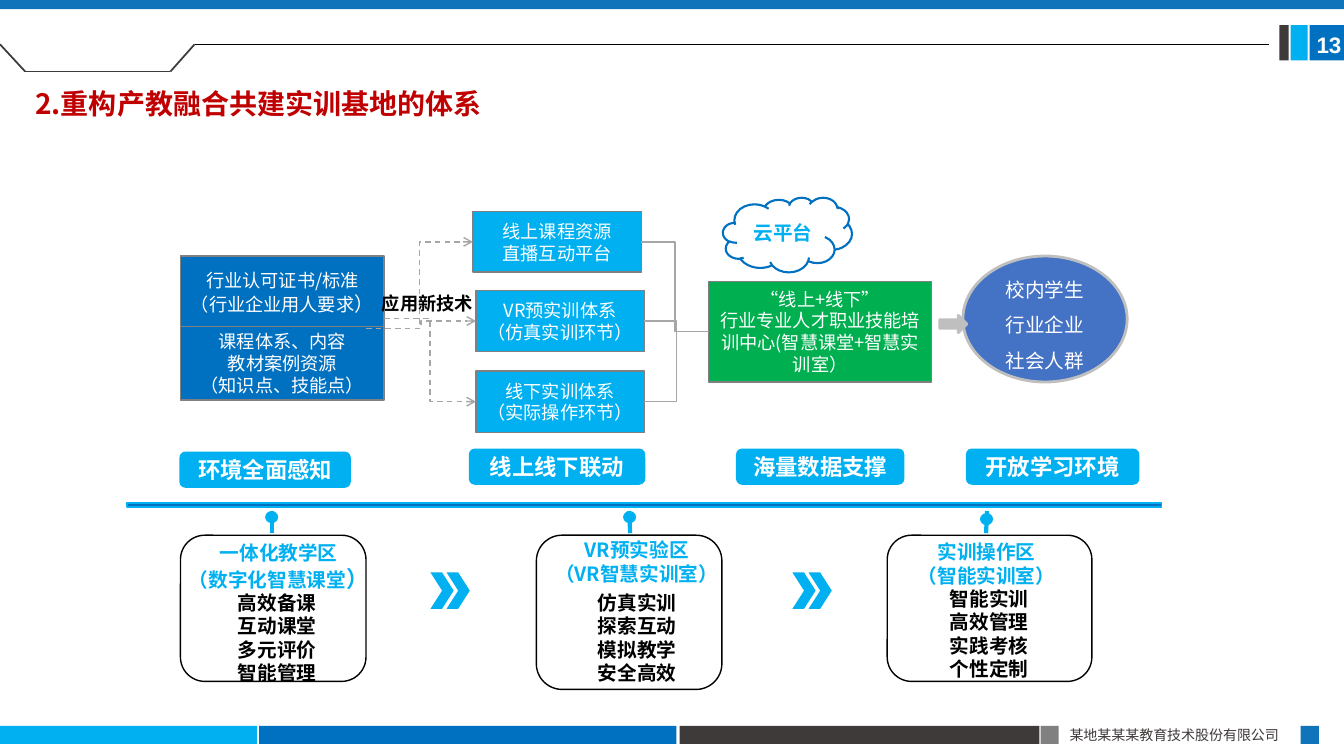
from lxml.etree import SubElement
from pptx import Presentation
from pptx.dml.color import RGBColor
from pptx.enum.dml import MSO_LINE
from pptx.enum.shapes import MSO_CONNECTOR, MSO_SHAPE
from pptx.enum.text import MSO_ANCHOR, MSO_AUTO_SIZE, PP_ALIGN
from pptx.oxml.ns import qn
from pptx.util import Inches, Pt

COLORS = {
    "sky": "00B0F0", "blue": "0070C0", "band": "1074BB", "dark": "3E3A39",
    "gray": "808080", "silver": "A6A6A6", "light": "BFBFBF", "green": "00B050",
    "indigo": "4472C4", "red": "C00000", "white": "FFFFFF", "black": "000000",
}
RGB = {name: RGBColor.from_string(value) for name, value in COLORS.items()}
CJK = "Noto Sans CJK SC"


def write(shape, lines, size, color, bold=False, align=PP_ALIGN.CENTER,
          anchor=MSO_ANCHOR.MIDDLE, margin=0.1, spacing=1.0, font=CJK, tail_size=None):
    frame = shape.text_frame
    frame_format = {"word_wrap": True, "auto_size": MSO_AUTO_SIZE.NONE, "vertical_anchor": anchor,
                    "margin_left": Inches(margin), "margin_right": Inches(margin)}
    for name, value in frame_format.items():
        setattr(frame, name, value)
    for index, line in enumerate(lines):
        paragraph = frame.add_paragraph() if index else frame.paragraphs[0]
        paragraph.alignment = align
        paragraph.line_spacing = spacing
        for position, text in enumerate(line.split("|")):
            run = paragraph.add_run()
            run.text = text
            run_format = {"size": Pt(tail_size if position else size), "bold": bold, "name": font}
            for name, value in run_format.items():
                setattr(run.font, name, value)
            run.font.color.rgb = RGB[color]
            SubElement(run.font._element, qn("a:ea"), typeface=CJK)


def draw(kind, left, top, width, height, fill=None, line=None, line_width=1):
    shape = slide.shapes.add_shape(kind, Inches(left), Inches(top), Inches(width), Inches(height))
    shape.shadow.inherit = False
    if fill:
        shape.fill.solid()
        shape.fill.fore_color.rgb = RGB[fill]
    else:
        shape.fill.background()
    if line:
        shape.line.color.rgb = RGB[line]
        shape.line.width = Pt(line_width)
    else:
        shape.line.fill.background()
    return shape


presentation = Presentation()
presentation.slide_width = Inches(13.33)
presentation.slide_height = Inches(7.5)
slide = presentation.slides.add_slide(presentation.slide_layouts[5])

for left, top, width, height, fill in [
    (0, 7.2, 2.55, 0.18, "sky"),
    (2.57, 7.2, 4.14, 0.18, "blue"),
    (6.74, 7.2, 3.57, 0.18, "dark"),
    (10.32, 7.2, 0.18, 0.18, "gray"),
    (12.9, 7.2, 0.18, 0.18, "band"),
    (12.99, 0.25, 0.34, 0.35, "blue"),
    (12.8, 0.25, 0.17, 0.35, "sky"),
    (12.69, 0.25, 0.09, 0.35, "dark"),
    (0, 0, 13.33, 0.09, "band"),
]:
    draw(MSO_SHAPE.RECTANGLE, left, top, width, height, fill)

title = slide.shapes.title
title_place = {"left": 0.25, "top": 0.81, "width": 4.66, "height": 0.44}
for name, value in title_place.items():
    setattr(title, name, Inches(value))
write(title, ["2.重构产教融合共建实训基地的体系"], 20, "red", True, PP_ALIGN.LEFT, MSO_ANCHOR.TOP)

steps = {}
for name, left, top, width, height, fill, margin, lines in [
    ("standard", 1.79, 2.54, 2.02, 0.72, "blue", 0.05, ["行业认可证书/标准", "（行业企业用人要求|）"]),
    ("course", 1.79, 3.24, 2.02, 0.73, "blue", 0.05, ["课程体系、内容", "教材案例资源", "（知识点、技能点）"]),
    ("online", 4.69, 2.1, 1.67, 0.6, "sky", 0.05, ["线上课程资源", "直播互动平台"]),
    ("virtual", 4.72, 2.88, 1.67, 0.61, "sky", 0.05, ["VR预实训体系", "（仿真实训环节）"]),
    ("offline", 4.72, 3.68, 1.67, 0.61, "sky", 0.05, ["线下实训体系", "（实际操作环节）"]),
    ("center", 7.03, 2.79, 2.21, 1, "green", 0.1,
     ["“线上+线下”", "行业专业人才职业技能培训中心(智慧课堂+智慧实训室）"]),
]:
    steps[name] = draw(MSO_SHAPE.RECTANGLE, left, top, width, height, fill, "gray")
    write(steps[name], lines, 13, "white", margin=margin, tail_size=14)

connectors = []
for name, start_x, start_y in [("virtual", 3.63, 3.26), ("online", 3.63, 3.26), ("offline", 3.81, 3.16)]:
    feed = slide.shapes.add_connector(MSO_CONNECTOR.ELBOW, Inches(start_x), Inches(start_y), 0, 0)
    feed.end_connect(steps[name], 1)
    feed.line.dash_style = MSO_LINE.DASH
    merge = slide.shapes.add_connector(MSO_CONNECTOR.ELBOW, 0, 0, 0, 0)
    merge.begin_connect(steps[name], 3)
    merge.end_connect(steps["center"], 1)
    connectors += [(feed, "silver", 1), (merge, "silver", 1)]
    SubElement(feed.line._get_or_add_ln(), qn("a:tailEnd"), type="arrow")

audience = draw(MSO_SHAPE.OVAL, 9.55, 2.54, 1.63, 1.25, "indigo", "light", 2)
write(audience, ["校内学生", "行业企业", "社会人群"], 14, "white", spacing=1.5)
draw(MSO_SHAPE.RIGHT_ARROW, 9.32, 3.13, 0.27, 0.17, "light", "light", 2)
cloud = draw(MSO_SHAPE.CLOUD, 7.17, 1.96, 1.28, 0.74, None, "blue", 1.5)
write(cloud, ["云平台"], 14, "sky", True, font="Arial")

for left, top, width, text in [
    (1.78, 4.48, 1.7, "环境全面感知"),
    (4.65, 4.45, 1.75, "线上线下联动"),
    (7.3, 4.45, 1.67, "海量数据支撑"),
    (9.58, 4.45, 1.72, "开放学习环境"),
]:
    write(draw(MSO_SHAPE.ROUNDED_RECTANGLE, left, top, width, 0.36, "sky"), [text], 16, "white", True)

draw(MSO_SHAPE.RECTANGLE, 1.26, 4.99, 10.26, 0.04, "blue", "sky")
for left, width, height in [(1.79, 1.84, 1.45), (5.32, 1.84, 1.53), (8.8, 2.03, 1.45)]:
    draw(MSO_SHAPE.ROUNDED_RECTANGLE, left, 5.31, width, height, None, "black")
for left, top in [(2.63, 5.07), (6.18, 5.07), (9.72, 5.09)]:
    draw(MSO_SHAPE.OVAL, left, top, 0.13, 0.12, "sky")
for left in (4.27, 4.43, 7.86, 8.02):
    draw(MSO_SHAPE.CHEVRON, left, 5.68, 0.23, 0.36, "sky")

heading = {"size": 14, "color": "sky", "bold": True, "anchor": MSO_ANCHOR.TOP, "tail_size": 16}
detail = {"size": 14, "color": "black", "bold": True, "anchor": MSO_ANCHOR.TOP}
left_text = {"align": PP_ALIGN.LEFT, "anchor": MSO_ANCHOR.TOP}
for left, top, width, height, lines, text_format in [
    (10.51, 7.16, 2.4, 0.27, ["某地某某某教育技术股份有限公司"], {"size": 10, "color": "dark", **left_text}),
    (12.96, 0.26, 0.5, 0.37, ["13"],
     {"size": 16, "color": "white", "bold": True, "font": "Arial", **left_text}),
    (3.69, 2.83, 1.33, 0.44, ["应用新技术"],
     {"size": 13, "color": "black", "bold": True, "align": PP_ALIGN.LEFT, "spacing": Pt(10)}),
    (1.63, 5.32, 2.27, 0.61, ["一体化教学区", "（数字化智慧课堂|）"], heading),
    (5.18, 5.29, 2.27, 0.57, ["VR预实验区", "（VR智慧实训室）"], heading),
    (8.65, 5.31, 2.27, 0.57, ["实训操作区", "（智能实训室）"], heading),
    (1.9, 5.81, 1.7, 1.04, ["高效备课", "互动课堂", "多元评价", "智能管理"], detail),
    (5.47, 5.81, 1.7, 1.04, ["仿真实训", "探索互动", "模拟教学", "安全高效"], detail),
    (8.96, 5.77, 1.7, 1.04, ["智能实训", "高效管理", "实践考核", "个性定制"], detail),
]:
    label = slide.shapes.add_textbox(Inches(left), Inches(top), Inches(width), Inches(height))
    write(label, lines, **text_format)

for start_x, start_y, end_x, end_y, color, width in [
    (0.25, 0.71, 1.69, 0.71, "dark", 1.25),
    (1.69, 0.71, 1.93, 0.44, "dark", 1.25),
    (0.25, 0.71, 0, 0.44, "dark", 1.25),
    (1.93, 0.44, 12.59, 0.44, "black", 0.5),
    (2.7, 5.07, 2.7, 5.29, "sky", 3),
    (6.24, 5.07, 6.25, 5.29, "sky", 3),
    (9.79, 5.07, 9.78, 5.29, "sky", 3),
]:
    straight = slide.shapes.add_connector(
        MSO_CONNECTOR.STRAIGHT, Inches(start_x), Inches(start_y), Inches(end_x), Inches(end_y))
    connectors.append((straight, color, width))

for connector, color, width in connectors:
    connector.line.color.rgb = RGB[color]
    connector.line.width = Pt(width)
    SubElement(connector._element.spPr, qn("a:effectLst"))

presentation.save("out.pptx")
